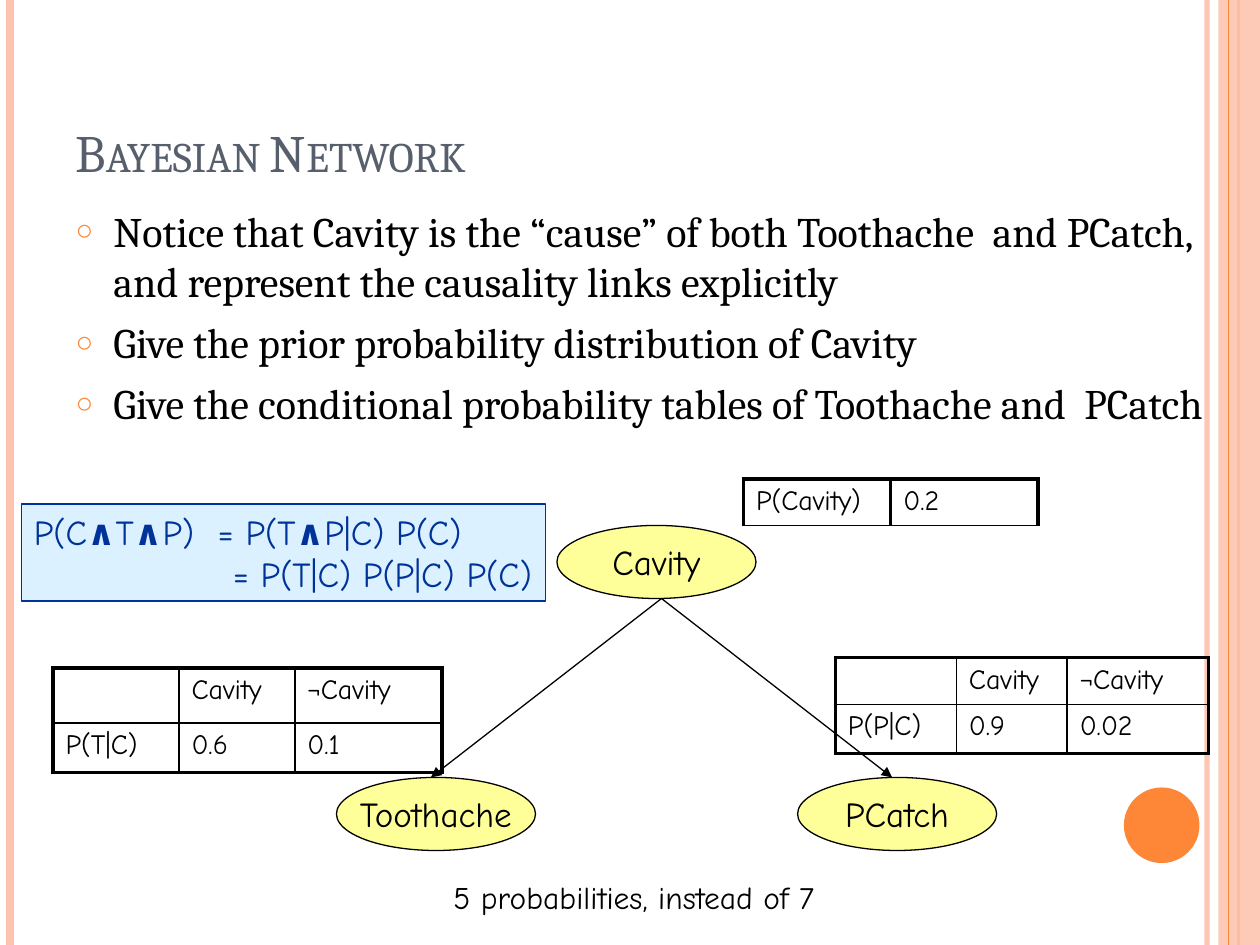
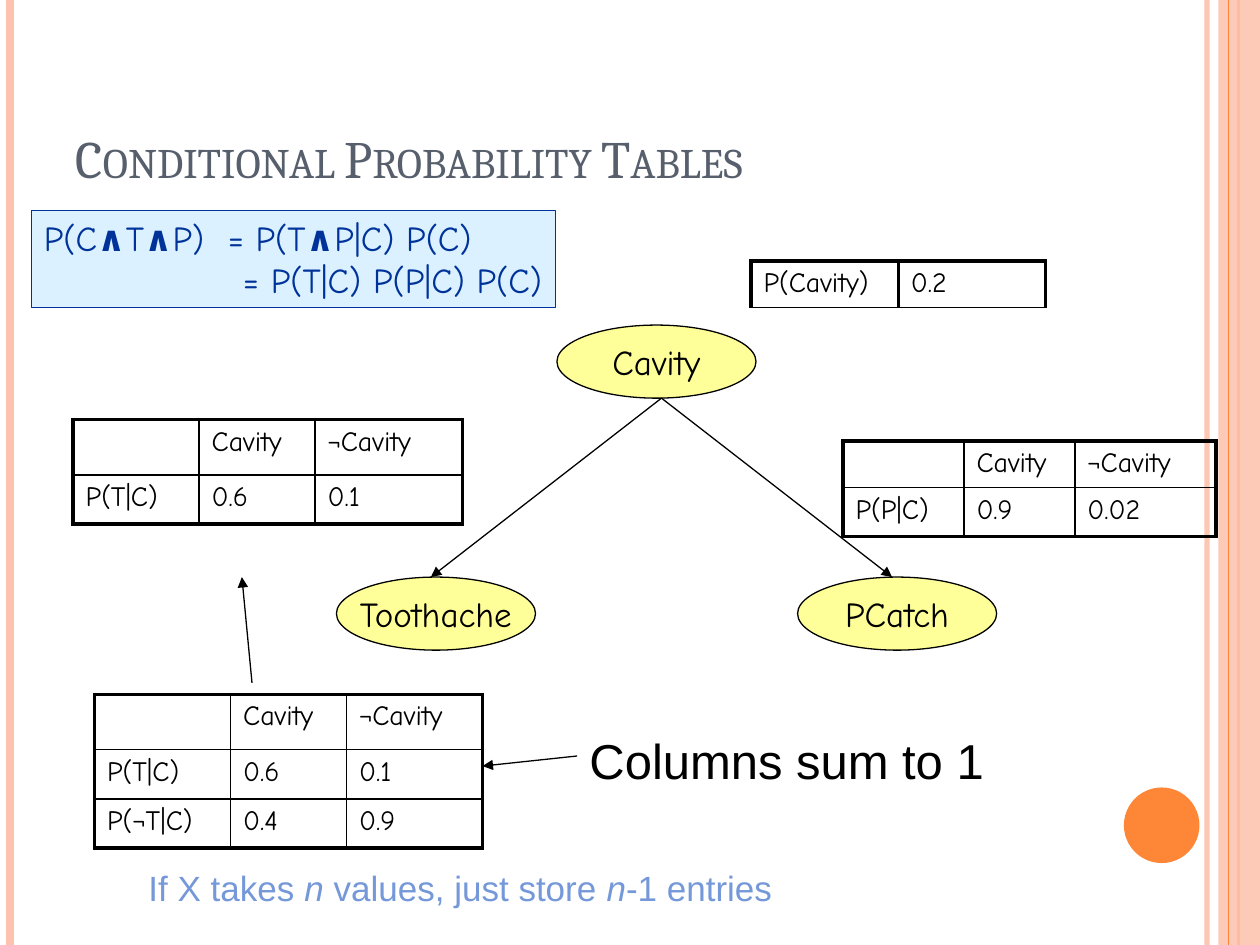
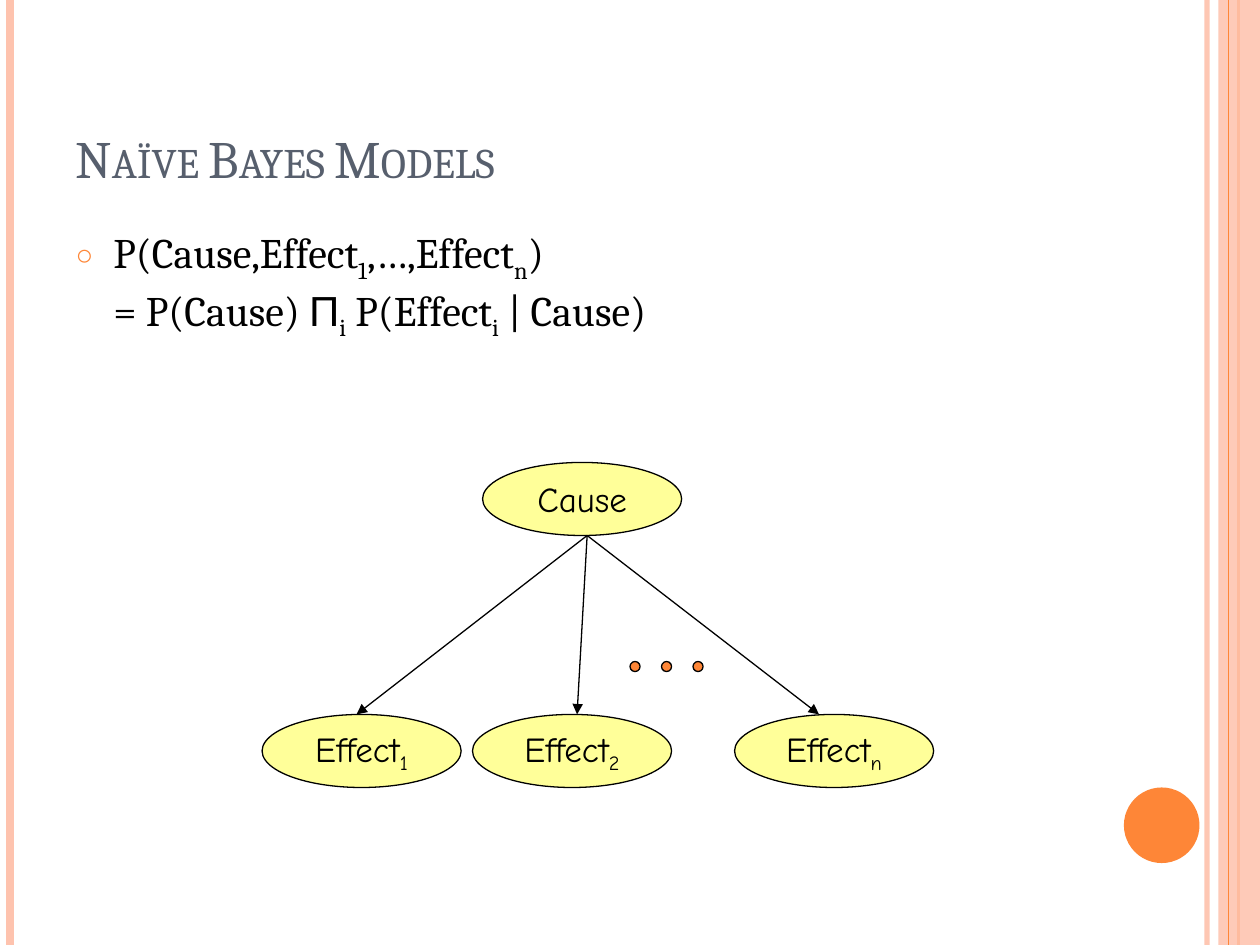
"""Builds three slides on Bayesian networks and naïve Bayes models."""
from lxml import etree
from pptx import Presentation
from pptx.dml.color import RGBColor
from pptx.enum.shapes import MSO_CONNECTOR, MSO_SHAPE
from pptx.enum.text import MSO_ANCHOR, MSO_AUTO_SIZE, PP_ALIGN
from pptx.oxml.ns import qn
from pptx.util import Inches, Pt

OVAL, RECTANGLE = MSO_SHAPE.OVAL, MSO_SHAPE.RECTANGLE
STRAIGHT = MSO_CONNECTOR.STRAIGHT
TOP, MIDDLE, BOTTOM = MSO_ANCHOR.TOP, MSO_ANCHOR.MIDDLE, MSO_ANCHOR.BOTTOM
LEFT, CENTER = PP_ALIGN.LEFT, PP_ALIGN.CENTER
NO_FIT = MSO_AUTO_SIZE.NONE

BLACK, ORANGE, PEACH, SLATE = "000000", "FE8637", "FEC3AE", "575F6D"
YELLOW, NAVY, PALE_BLUE, SKY = "FFFF99", "003399", "DBF1FF", "7598D9"
SERIF, HAND, SANS = "Cambria", "Comic Neue", "Arial"

NODE_WIDTH, NODE_HEIGHT, LEVEL_GAP, ROOT_TIP = 1.58, 0.58, 2, 0.83
THICK, THIN = 2.25, 1
BAND_LINES = [(9.58, PEACH, 3, 93), (0.08, PEACH, 4.5, 100),
              (9.83, ORANGE, 1.5, 100), (9.75, ORANGE, 0.75, 100)]

AND = ("∧", "bold")
FORMULA = [["P(C", AND, "T", AND, "P)  = P(T", AND, "P|C) P(C)"],
           ["= P(T|C) P(P|C) P(C)"]]
HEADER = ["", "Cavity", "¬Cavity"]
PRIOR = {"rows": [["P(Cavity)", "0.2"]], "columns": [1.17, 1.17],
         "heights": [0.37], "inner": THICK, "bottom": THIN}
TOOTHACHE = {"rows": [HEADER, ["P(T|C)", "0.6", "0.1"]],
             "columns": [1, 0.92, 1.17], "heights": [0.44, 0.39]}
CATCH = {"rows": [HEADER, ["P(P|C)", "0.9", "0.02"]],
         "columns": [0.96, 0.88, 1.12], "heights": [0.37, 0.39]}
FULL_TOOTHACHE = {"rows": TOOTHACHE["rows"] + [["P(¬T|C)", "0.4", "0.9"]],
                  "columns": [1.08, 0.92, 1.08], "heights": [0.44, 0.39, 0.39]}
CAVITY_EFFECTS = [(2.67, ["Toothache"], 0.75), (6.33, ["PCatch"], 0.75)]

SLIDES = [
    {"title": "Bayesian Network", "title_top": 0.25,
     "body_box": (0.5, 1.58, 9.42, 5.33),
     "body": [["Notice that Cavity is the “cause” of both Toothache  and PCatch, "
               "and represent the causality links explicitly"],
              ["Give the prior probability distribution of Cavity"],
              ["Give the conditional probability tables of Toothache and  PCatch"]],
     "root": (4.42, 4.17, ["Cavity"]), "effects": CAVITY_EFFECTS,
     "formula": (0.17, 4),
     "tables": [(0.42, 5.3, TOOTHACHE), (5.9, 3.8, PRIOR), (6.63, 5.22, CATCH)],
     "notes": [((3.5, 6.92, 3.45, 0.4), ["5 probabilities, instead of 7"],
                HAND, 18, BLACK)]},
    {"title": "Conditional Probability Tables", "title_top": 0.3,
     "root": (4.42, 2.58, ["Cavity"]), "effects": CAVITY_EFFECTS,
     "formula": (0.25, 1.67),
     "tables": [(5.96, 2.07, PRIOR), (0.58, 3.33, TOOTHACHE),
                (0.75, 5.51, FULL_TOOTHACHE), (6.69, 3.5, CATCH)],
     "arrows": [((2, 5.42), (1.92, 4.58)), ((4.58, 6), (3.83, 6.08))],
     "notes": [((4.58, 5.75, 3.58, 0.57), ["Columns sum to 1"], SANS, 28, BLACK),
               ((1.08, 6.83, 6.08, 0.43),
                ["If X takes ", ("n", "italic"), " values, just store ",
                 ("n", "italic"), "-1 entries"], SANS, 20, SKY)]},
    {"title": "Naïve Bayes Models", "title_top": 0.3,
     "body_box": (0.5, 1.75, 8.17, 5.33),
     "body": [["P(Cause,Effect", ("1", "sub"), ",…,Effect", ("n", "sub"), ")",
               ("", "break"), "= P(Cause) ", ("Π", "symbol"), ("i", "sub"),
               " P(Effect", ("i", "sub"), " | Cause)"]],
     "root": (3.83, 3.67, ["Cause"]),
     "effects": [(2.08, ["Effect", ("1", "sub")], 0.75),
                 (3.75, ["Effect", ("2", "sub")], 0.83),
                 (5.83, ["Effect", ("n", "sub")], 0.67)],
     "dots": [(5 + 0.25 * step, 5.25) for step in range(3)]},
]


def rgb(color):
    """Turn a hex string into a colour."""
    return RGBColor.from_string(color)


def add_child(parent, tag, **attributes):
    """Append one DrawingML element."""
    return etree.SubElement(parent, qn(tag), attributes)


def set_alpha(shape, percent):
    """Make the first colour of a shape partly transparent."""
    color = shape.element.xpath(".//a:srgbClr")[0]
    add_child(color, "a:alpha", val=str(percent * 1000))


def set_line(line, color, width):
    """Give a line its colour and width."""
    line.color.rgb = rgb(color)
    line.width = Pt(width)


def place(shape, box):
    """Move and size a shape, in inches."""
    shape.left, shape.top, shape.width, shape.height = map(Inches, box)


def write(paragraph, pieces, font, size, color, alignment=LEFT):
    """Fill a paragraph with plain and styled pieces."""
    paragraph.alignment = alignment
    paragraph.font.name = font
    paragraph.font.size = Pt(size)
    paragraph.font.color.rgb = rgb(color)
    for piece in pieces:
        text, style = (piece, "") if isinstance(piece, str) else piece
        if style == "break":
            paragraph.add_line_break()
            continue
        run = paragraph.add_run()
        run.text = text
        if style == "bold":
            run.font.bold = True
        elif style == "italic":
            run.font.italic = True
        elif style == "symbol":
            run.font.name = SANS
        elif style == "sub":
            run._r.get_or_add_rPr().set("baseline", "-25000")


def write_all(frame, paragraphs, *style):
    """Write several paragraphs into a text frame and return them."""
    for index, pieces in enumerate(paragraphs):
        paragraph = frame.add_paragraph() if index else frame.paragraphs[0]
        write(paragraph, pieces, *style)
    return frame.paragraphs


def add_figure(slide, kind, box, fill, line=None):
    """Add a flat preset shape."""
    shape = slide.shapes.add_shape(kind, *map(Inches, box))
    shape.shadow.inherit = False
    shape.fill.solid()
    shape.fill.fore_color.rgb = rgb(fill)
    if line:
        set_line(shape.line, line, 0.75)
    else:
        shape.line.fill.background()
    return shape


def add_line(slide, start, end, color=BLACK, width=0.75, arrow=False):
    """Add a straight line, with an arrowhead at its end if wanted."""
    connector = slide.shapes.add_connector(STRAIGHT, *map(Inches, start + end))
    set_line(connector.line, color, width)
    if arrow:
        add_child(connector.line._get_or_add_ln(), "a:tailEnd", type="triangle")
    add_child(connector.element.spPr, "a:effectLst")
    return connector


def add_bands(slide):
    """Draw the side bands and the disc, then hand them to the slide master."""
    parts = []
    for left, color, width, alpha in BAND_LINES:
        line = add_line(slide, (left, 0), (left, 7.5), color, width)
        set_alpha(line, alpha)
        parts.append(line)
    band = add_figure(slide, RECTANGLE, (9.67, 0, 0.33, 7.5), PEACH)
    set_alpha(band, 87)
    parts.insert(3, band)
    parts.append(add_figure(slide, OVAL, (8.92, 6.25, 0.6, 0.6), ORANGE))
    tree = slide.slide_layout.slide_master.shapes.element
    for index, part in enumerate(parts):
        part.element.xpath("./*/p:cNvPr")[0].set("id", str(100 + index))
        tree.insert(2 + index, part.element)


def add_title(slide, text, top):
    """Fill the title placeholder in small capitals."""
    title = slide.shapes.title
    place(title, (0.5, top, 8.17, 1.25))
    frame = title.text_frame
    frame.auto_size, frame.vertical_anchor = NO_FIT, BOTTOM
    write(frame.paragraphs[0], [text], SERIF, 30, SLATE)
    frame.paragraphs[0].runs[0].font._element.set("cap", "small")


def add_body(slide, paragraphs, box):
    """Fill the body placeholder with bulleted paragraphs."""
    body = slide.placeholders[1]
    place(body, box)
    frame = body.text_frame
    frame.auto_size = NO_FIT
    for index, pieces in enumerate(paragraphs):
        paragraph = frame.add_paragraph() if index else frame.paragraphs[0]
        properties = paragraph._p.get_or_add_pPr()
        properties.set("marL", str(Inches(0.3)))
        properties.set("indent", str(Inches(-0.3)))
        add_child(add_child(properties, "a:buClr"), "a:srgbClr", val=ORANGE)
        add_child(properties, "a:buSzPct", val="70000")
        add_child(properties, "a:buFont", typeface=SANS)
        add_child(properties, "a:buChar", char="○")
        paragraph.space_before = Pt(6)
        write(paragraph, pieces, SERIF, 24, BLACK)


def add_node(slide, left, top, label):
    """Add one oval of the network."""
    node = add_figure(slide, OVAL, (left, top, NODE_WIDTH, NODE_HEIGHT), YELLOW, BLACK)
    frame = node.text_frame
    frame.word_wrap, frame.vertical_anchor = False, MIDDLE
    write(frame.paragraphs[0], label, HAND, 20, BLACK, CENTER)


def add_network(slide, root, effects):
    """Add a root node with an arrow to each effect below it."""
    left, top, label = root
    add_node(slide, left, top, label)
    start = (left + ROOT_TIP, top + NODE_HEIGHT)
    for effect_left, effect_label, tip in effects:
        add_node(slide, effect_left, top + LEVEL_GAP, effect_label)
        add_line(slide, start, (effect_left + tip, top + LEVEL_GAP), arrow=True)


def add_formula(slide, left, top):
    """Add the box that factors the joint probability."""
    box = add_figure(slide, RECTANGLE, (left, top, 4.16, 0.77), PALE_BLUE, NAVY)
    frame = box.text_frame
    frame.word_wrap, frame.vertical_anchor = False, TOP
    paragraphs = write_all(frame, FORMULA, HAND, 20, NAVY)
    paragraphs[1]._p.get_or_add_pPr().set("marL", str(Inches(1.58)))


def set_borders(cell, widths):
    """Draw the left, right, top and bottom borders of a cell."""
    properties = cell._tc.get_or_add_tcPr()
    for index, (side, width) in enumerate(zip("LRTB", widths)):
        border = etree.Element(qn(f"a:ln{side}"), w=str(Pt(width)))
        add_child(add_child(border, "a:solidFill"), "a:srgbClr", val=BLACK)
        properties.insert(index, border)


def add_probabilities(slide, left, top, content):
    """Add a probability table with a heavy frame."""
    rows, columns, heights = content["rows"], content["columns"], content["heights"]
    inner, bottom = content.get("inner", THIN), content.get("bottom", THICK)
    box = map(Inches, (left, top, sum(columns), sum(heights)))
    table = slide.shapes.add_table(len(rows), len(columns), *box).table
    table.first_row = table.horz_banding = False
    for column, width in zip(table.columns, columns):
        column.width = Inches(width)
    for row_index, row in enumerate(rows):
        table.rows[row_index].height = Inches(heights[row_index])
        for column_index, text in enumerate(row):
            cell = table.cell(row_index, column_index)
            cell.fill.background()
            write(cell.text_frame.paragraphs[0], [text] if text else [], HAND, 16, BLACK)
            set_borders(cell, (
                THICK if column_index == 0 else inner,
                THICK if column_index == len(row) - 1 else inner,
                THICK if row_index == 0 else inner,
                bottom if row_index == len(rows) - 1 else inner))


def add_note(slide, box, pieces, font, size, color):
    """Add a line of free text."""
    frame = slide.shapes.add_textbox(*map(Inches, box)).text_frame
    frame.word_wrap = True
    write(frame.paragraphs[0], pieces, font, size, color)


def build_slide(presentation, content):
    """Build one slide from its content."""
    layout = presentation.slide_layouts[1 if "body" in content else 5]
    slide = presentation.slides.add_slide(layout)
    add_title(slide, content["title"], content["title_top"])
    if "body" in content:
        add_body(slide, content["body"], content["body_box"])
    add_network(slide, content["root"], content["effects"])
    for start, end in content.get("arrows", []):
        add_line(slide, start, end, arrow=True)
    for note in content.get("notes", []):
        add_note(slide, *note)
    if "formula" in content:
        add_formula(slide, *content["formula"])
    for table in content.get("tables", []):
        add_probabilities(slide, *table)
    for left, top in content.get("dots", []):
        add_figure(slide, OVAL, (left, top, 0.08, 0.08), ORANGE, BLACK)
    return slide


def main():
    """Build and save the presentation."""
    presentation = Presentation()
    presentation.slide_width, presentation.slide_height = Inches(10), Inches(7.5)
    slides = [build_slide(presentation, content) for content in SLIDES]
    add_bands(slides[0])
    presentation.save("out.pptx")


if __name__ == "__main__":
    main()
